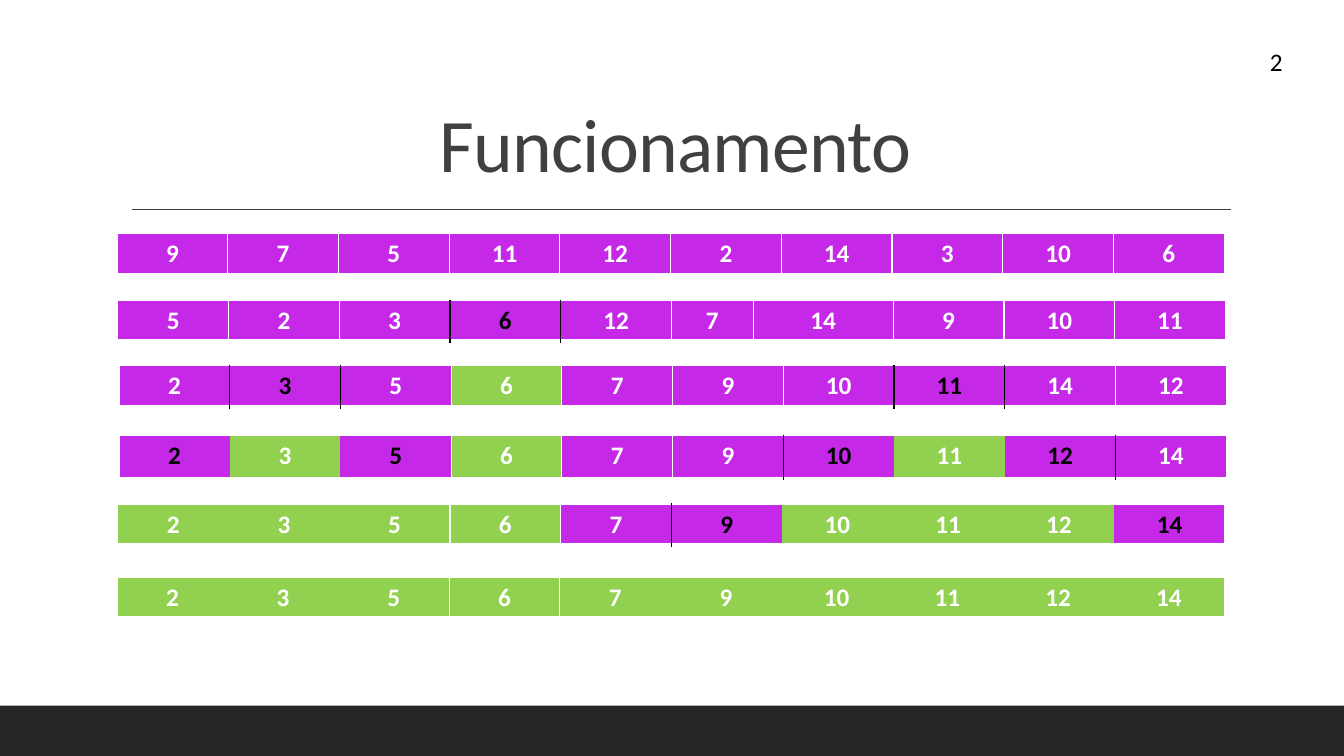
"""Build a slide that shows the successive steps of a quicksort."""
from dataclasses import dataclass

from lxml import etree
from pptx import Presentation
from pptx import util as u
from pptx.dml.color import RGBColor
from pptx.enum import shapes, text
from pptx.oxml import ns

Cm, Pt = u.Cm, u.Pt


@dataclass(frozen=True)
class Theme:
    """Colours, font and type sizes of the slide."""
    font: str = "Calibri"
    title_size: float = 54
    body_size: float = 18
    white: str = "FFFFFF"
    black: str = "000000"
    heading: str = "404040"
    band: str = "262626"
    pending: str = "C529E7"
    sorted: str = "92D050"


@dataclass(frozen=True)
class Step:
    """One state of the list; edges has w, k or - for white, black or no line."""
    left: float
    top: float
    numbers: tuple
    edges: str
    pivots: tuple = ()
    placed: tuple = ()
    height: float = 1.02
    widths: tuple = (2.79,) * 10


THEME = Theme()
EDGE_COLORS = {"w": THEME.white, "k": THEME.black, "-": None}
RESULT = (2, 3, 5, 6, 7, 9, 10, 11, 12, 14)
STEPS = (
    Step(2.95, 5.89, (9, 7, 5, 11, 12, 2, 14, 3, 10, 6), "wwwwwwwwwww", height=1.04),
    Step(2.97, 7.57, (5, 2, 3, 6, 12, 7, 14, 9, 10, 11), "wwwkkwwwwww", pivots=(6,),
         widths=(2.79,) * 5 + (2.06, 3.53) + (2.79,) * 3),
    Step(3, 9.22, (2, 3, 5, 6, 7, 9, 10, 11, 14, 12), "wkkwwwwkkww",
         pivots=(3, 11), placed=(6,)),
    Step(3, 10.97, RESULT, "w--wwwk--kw",
         pivots=(2, 5, 10, 12), placed=(3, 6, 11), height=1.09),
    Step(2.97, 12.7, RESULT, "w--wwk----w",
         pivots=(9, 14), placed=(2, 3, 5, 6, 10, 11, 12)),
    Step(2.95, 14.55, RESULT, "w--ww-----w", placed=RESULT),
)


def write_text(frame, content, size=THEME.body_size, color=THEME.black, bold=False,
               align=text.PP_ALIGN.LEFT, line_spacing=None, tracking=None):
    """Write one formatted paragraph into a text frame."""
    paragraph = frame.paragraphs[0]
    paragraph.alignment = align
    paragraph.line_spacing = line_spacing
    run = paragraph.add_run()
    run.text = content
    run.font.name = THEME.font
    run.font.size = Pt(size)
    run.font.bold = bold
    run.font.color.rgb = RGBColor.from_string(color)
    if tracking is not None:
        run.font._element.set("spc", str(round(tracking * 100)))


def add_band(slide, top, height, width):
    """Draw the dark band along the foot of the slide."""
    band = slide.shapes.add_shape(shapes.MSO_SHAPE.RECTANGLE, 0, top, width, height)
    band.shadow.inherit = False
    band.fill.solid()
    band.fill.fore_color.rgb = RGBColor.from_string(THEME.band)
    band.line.fill.background()


def add_rule(slide, left, right, top):
    """Draw the thin line under the title."""
    rule = slide.shapes.add_connector(shapes.MSO_CONNECTOR.STRAIGHT, left, top, right, top)
    rule.line.color.rgb = RGBColor.from_string(THEME.heading)
    rule.line.width = Pt(1)
    etree.SubElement(rule._element.spPr, ns.qn("a:effectLst"))


def place_title(slide, content):
    """Move the title placeholder and fill it."""
    title = slide.shapes.title
    title.left, title.top, title.width, title.height = Cm(3.05), Cm(0.79), Cm(27.94), Cm(4.04)
    frame = title.text_frame
    frame.auto_size = text.MSO_AUTO_SIZE.NONE
    frame.vertical_anchor = text.MSO_ANCHOR.BOTTOM
    write_text(frame, content, size=THEME.title_size, color=THEME.heading,
               align=text.PP_ALIGN.CENTER, line_spacing=0.8, tracking=-0.5)


def add_page_number(slide, number):
    """Write the page number at the top right."""
    box = slide.shapes.add_textbox(Cm(32), Cm(1.04), Cm(0.32), Cm(1.02))
    frame = box.text_frame
    frame.word_wrap = False
    frame.margin_left = frame.margin_right = 0
    write_text(frame, str(number))


def set_border(cell, side, color, width=1):
    """Set one border of a cell; no colour means no line."""
    properties = cell._tc.get_or_add_tcPr()
    line = etree.SubElement(properties, ns.qn(f"a:ln{side}"), w=str(Pt(width)))
    if color is None:
        etree.SubElement(line, ns.qn("a:noFill"))
    else:
        fill = etree.SubElement(line, ns.qn("a:solidFill"))
        etree.SubElement(fill, ns.qn("a:srgbClr"), val=color)


def add_step(slide, step):
    """Draw one state of the list as a table with a single row."""
    frame = slide.shapes.add_table(1, len(step.numbers), Cm(step.left), Cm(step.top),
                                   Cm(sum(step.widths)), Cm(step.height))
    table = frame.table
    table.first_row = table.horz_banding = False
    for index, (number, width) in enumerate(zip(step.numbers, step.widths)):
        table.columns[index].width = Cm(width)
        cell = table.cell(0, index)
        set_border(cell, "L", EDGE_COLORS[step.edges[index]])
        set_border(cell, "R", EDGE_COLORS[step.edges[index + 1]])
        set_border(cell, "T", THEME.white)
        set_border(cell, "B", THEME.white, width=3)
        cell.fill.solid()
        fill = THEME.sorted if number in step.placed else THEME.pending
        cell.fill.fore_color.rgb = RGBColor.from_string(fill)
        write_text(cell.text_frame, str(number), bold=True, align=text.PP_ALIGN.CENTER,
                   color=THEME.black if number in step.pivots else THEME.white)


def main():
    """Build and save the slide."""
    presentation = Presentation()
    presentation.slide_width, presentation.slide_height = Cm(33.87), Cm(19.05)
    slide = presentation.slides.add_slide(presentation.slide_layouts.get_by_name("Title Only"))
    add_band(slide, Cm(17.78), Cm(1.27), presentation.slide_width)
    add_rule(slide, Cm(3.33), Cm(31.01), Cm(5.28))
    place_title(slide, "Funcionamento")
    for step in STEPS:
        add_step(slide, step)
    add_page_number(slide, 2)
    presentation.save("out.pptx")


if __name__ == "__main__":
    main()
